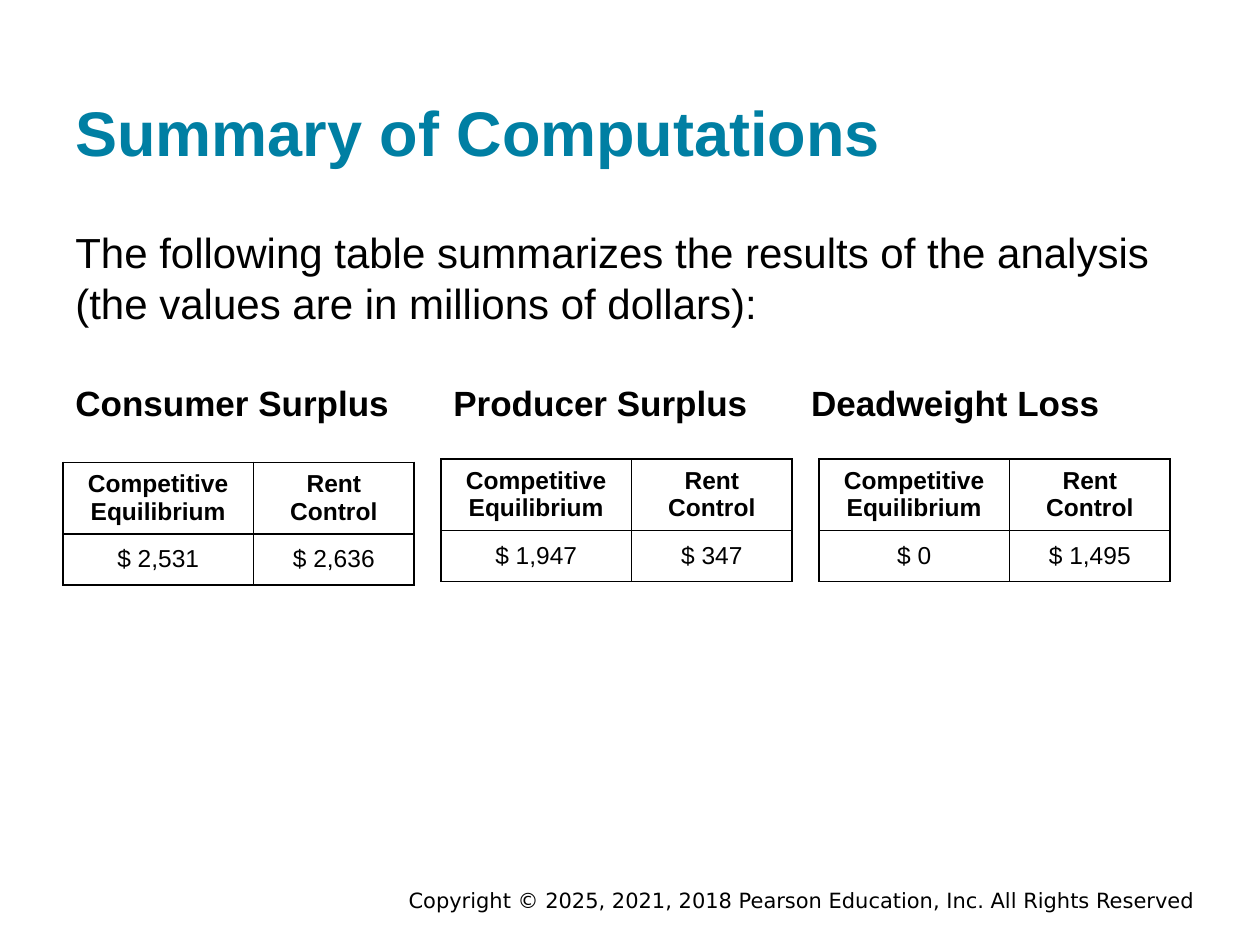
from lxml.etree import SubElement
from pptx import Presentation
from pptx.dml.color import RGBColor
from pptx.enum.text import MSO_ANCHOR as Anchor, PP_ALIGN as Align
from pptx.oxml.ns import qn
from pptx.util import Cm, Pt

# Content
TITLE = "Summary of Computations"
INTRO = ("The following table summarizes the results of the analysis "
         "(the values are in millions of dollars):")
COPYRIGHT = "Copyright © 2025, 2021, 2018 Pearson Education, Inc. All Rights Reserved"
HEADERS = ["Competitive\nEquilibrium", "Rent\nControl"]
# heading, heading left, table left, table top, values (cm)
SECTIONS = [
    ("Consumer Surplus", 1.27, 1.27, 9.32, ["$ 2,531", "$ 2,636"]),
    ("Producer Surplus", 8.89, 8.89, 9.25, ["$ 1,947", "$ 347"]),
    ("Deadweight Loss", 16.1, 16.51, 9.25, ["$ 0", "$ 1,495"]),
]
COLUMNS, ROWS = [3.84, 3.24], [1.37, 1.03]
BLACK, TEAL = "000000", "007FA3"


def color(value):
    return RGBColor.from_string(value)


def write(frame, text, size, align=Align.LEFT, bold=False, ink=BLACK, name="Arial"):
    frame.text = text
    formats = {"size": Pt(size), "bold": bold, "name": name}
    for para in frame.paragraphs:
        para.alignment = align
        for span in para.runs:
            for key, value in formats.items():
                setattr(span.font, key, value)
            span.font.color.rgb = color(ink)


def add_text(page, place, text, size, anchor=Anchor.TOP, inset=0.25, **style):
    box = page.shapes.add_textbox(*(Cm(length) for length in place))
    frame = box.text_frame
    settings = {"word_wrap": True, "vertical_anchor": anchor,
                "margin_left": Cm(0.25), "margin_right": Cm(0.25),
                "margin_top": Cm(inset), "margin_bottom": Cm(inset)}
    for key, value in settings.items():
        setattr(frame, key, value)
    write(frame, text, size, **style)
    return frame


def add_borders(cell):
    properties = cell._tc.get_or_add_tcPr()
    for position, side in enumerate(("lnL", "lnR", "lnT", "lnB")):
        line = properties.makeelement(qn(f"a:{side}"), {"w": str(Pt(1))})
        fill = SubElement(line, qn("a:solidFill"))
        SubElement(fill, qn("a:srgbClr"), val=BLACK)
        properties.insert(position, line)


def add_grid(page, left, top, values):
    table = page.shapes.add_table(2, 2, Cm(left), Cm(top),
                                  Cm(sum(COLUMNS)), Cm(sum(ROWS))).table
    for column, width in zip(table.columns, COLUMNS):
        column.width = Cm(width)
    for row, height in zip(table.rows, ROWS):
        row.height = Cm(height)
    for r, texts in enumerate((HEADERS, values)):
        for c, text in enumerate(texts):
            cell = table.cell(r, c)
            cell.fill.background()
            cell.vertical_anchor = Anchor.MIDDLE
            write(cell.text_frame, text, 14, Align.CENTER, bold=r == 0)
            add_borders(cell)


deck = Presentation()
deck.slide_width, deck.slide_height = Cm(25.4), Cm(19.05)
page = deck.slides.add_slide(deck.slide_layouts[6])

# Title, introduction and footer
add_text(page, (1.27, 0.61, 22.86, 3.05), TITLE, 36, Anchor.BOTTOM, bold=True, ink=TEAL)
add_text(page, (1.27, 4.32, 22.86, 2.46), INTRO, 24)
add_text(page, (4.45, 17.86, 19.89, 0.56), COPYRIGHT, 12, Anchor.MIDDLE, 0.13,
         align=Align.RIGHT, name="DejaVu Sans")

# Surplus sections
for heading, heading_left, table_left, top, values in SECTIONS:
    add_text(page, (heading_left, 7.44, 7.09, 1.32), heading, 20, bold=True)
    add_grid(page, table_left, top, values)

deck.save("out.pptx")
